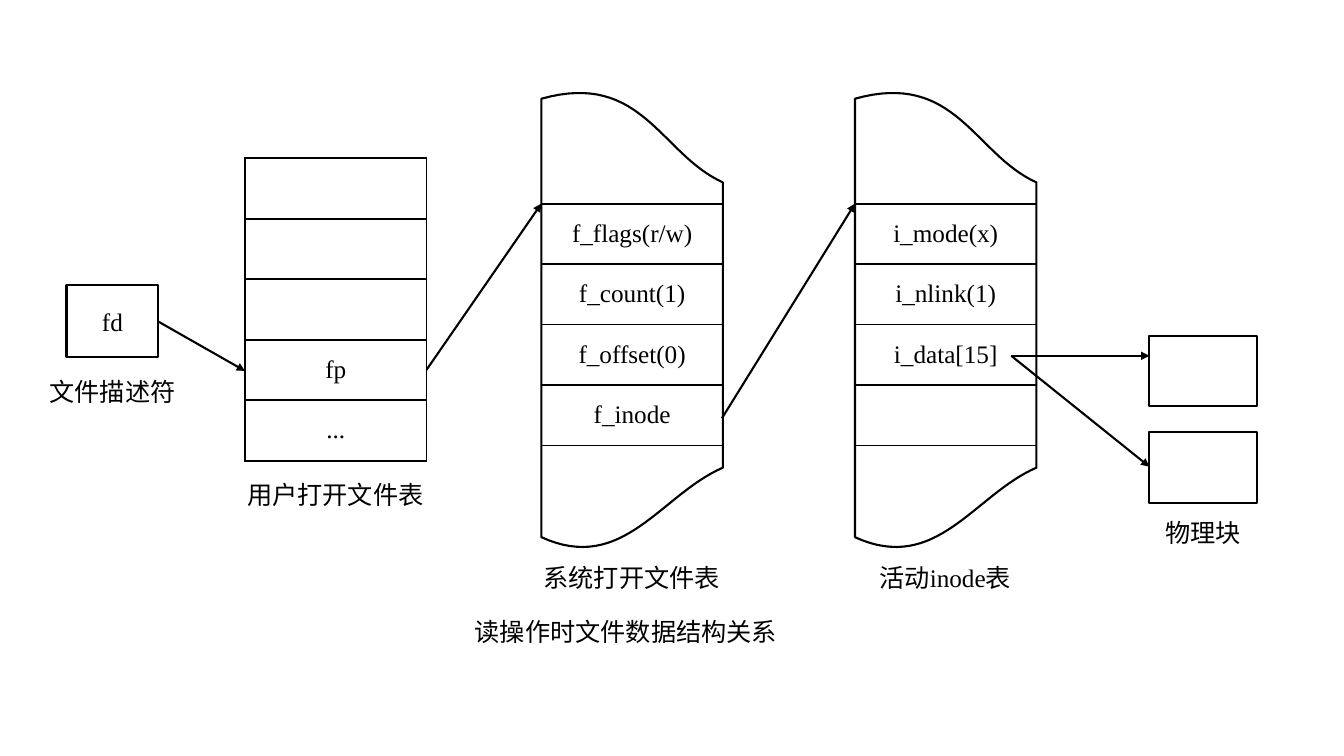
from dataclasses import dataclass

from lxml.etree import SubElement
from pptx import Presentation
from pptx.dml.color import RGBColor
from pptx.enum.shapes import MSO_CONNECTOR, MSO_SHAPE
from pptx.enum.text import MSO_ANCHOR, PP_ALIGN
from pptx.oxml import parse_xml
from pptx.oxml.ns import nsdecls, qn
from pptx.util import Inches, Pt


@dataclass(frozen=True)
class Theme:
    ink: str = "000000"
    size: float = 18
    line_width: float = 1.5
    code_font: str = "Times New Roman"
    label_font: str = "Open Sans"
    caption_font: str = "Noto Sans CJK SC"


THEME = Theme()
ROW_HEIGHT = 0.6
COLUMN_WIDTH = 1.8
LABEL_HEIGHT = 0.4
CURVE_STEPS = 32


def write_text(text_frame, text, font=THEME.label_font, align=PP_ALIGN.CENTER):
    """Write a string, or a list of (string, font) pairs, as one paragraph."""
    paragraph = text_frame.paragraphs[0]
    paragraph.alignment = align
    pieces = [(text, font)] if isinstance(text, str) else text
    for piece, piece_font in pieces:
        run = paragraph.add_run()
        run.text = piece
        run.font.size = Pt(THEME.size)
        run.font.color.rgb = RGBColor.from_string(THEME.ink)
        run.font.name = piece_font
        SubElement(run.font._element, qn("a:ea"), typeface=piece_font)


def bezier(start, first, second, end):
    """Points along a cubic curve, without its start."""
    points = []
    for step in range(1, CURVE_STEPS + 1):
        t = step / CURVE_STEPS
        weights = ((1 - t) ** 3, 3 * t * (1 - t) ** 2, 3 * t ** 2 * (1 - t), t ** 3)
        points.append(tuple(
            sum(weight * value for weight, value in zip(weights, values))
            for values in zip(start, first, second, end)))
    return points


class Diagram:
    def __init__(self, slide, theme):
        self.slide = slide
        self.theme = theme

    def outline(self, shape):
        shape.line.color.rgb = RGBColor.from_string(self.theme.ink)
        shape.line.width = Pt(self.theme.line_width)

    def hollow(self, shape):
        shape.shadow.inherit = False
        shape.fill.background()
        self.outline(shape)

    def box(self, left, top, width, height):
        shape = self.slide.shapes.add_shape(
            MSO_SHAPE.RECTANGLE, Inches(left), Inches(top), Inches(width), Inches(height))
        self.hollow(shape)
        return shape

    def label(self, text, left, top, width, **text_format):
        shape = self.slide.shapes.add_textbox(
            Inches(left), Inches(top), Inches(width), Inches(LABEL_HEIGHT))
        shape.text_frame.word_wrap = True
        write_text(shape.text_frame, text, **text_format)

    def torn_column(self, left):
        top_curve = bezier((0, 0.98), (1, 0.7), (1.18, 1.53), (1.8, 1.81))
        bottom_curve = bezier((1.8, 4.64), (1.18, 4.91), (0.81, 5.7), (0, 5.33))
        points = [(0, 0.98), *top_curve, (1.8, 4.64), *bottom_curve]
        corners = [(Inches(left + x), Inches(y)) for x, y in points]
        builder = self.slide.shapes.build_freeform(*corners[0])
        builder.add_line_segments(corners[1:], close=True)
        self.hollow(builder.convert_to_shape())

    def table(self, rows, left, top):
        table = self.slide.shapes.add_table(
            len(rows), 1, Inches(left), Inches(top),
            Inches(COLUMN_WIDTH), Inches(ROW_HEIGHT * len(rows))).table
        table.first_row = table.horz_banding = False
        for index, text in enumerate(rows):
            table.rows[index].height = Inches(ROW_HEIGHT)
            cell = table.cell(index, 0)
            cell.vertical_anchor = MSO_ANCHOR.MIDDLE
            cell.fill.background()
            self.cell_borders(cell)
            if text:
                write_text(cell.text_frame, text, font=self.theme.code_font)

    def cell_borders(self, cell):
        properties = cell._tc.get_or_add_tcPr()
        for position, side in enumerate(("lnL", "lnR", "lnT", "lnB")):
            properties.insert(position, parse_xml(
                f'<a:{side} {nsdecls("a")} w="{Pt(self.theme.line_width)}"><a:solidFill>'
                f'<a:srgbClr val="{self.theme.ink}"/></a:solidFill></a:{side}>'))

    def arrow(self, start, end):
        connector = self.slide.shapes.add_connector(
            MSO_CONNECTOR.STRAIGHT, *map(Inches, start), *map(Inches, end))
        self.outline(connector)
        SubElement(connector.line._get_or_add_ln(), qn("a:tailEnd"), type="triangle")
        SubElement(connector._element.spPr, qn("a:effectLst"))


presentation = Presentation()
presentation.slide_width = Inches(13.33)
presentation.slide_height = Inches(7.5)
slide = presentation.slides.add_slide(presentation.slide_layouts[6])
diagram = Diagram(slide, THEME)

# System open file table and active inode table
inode_label = [("活动", THEME.label_font), ("inode", THEME.code_font), ("表", THEME.label_font)]
kernel_tables = [
    (5.37, ["f_flags(r/w)", "f_count(1)", "f_offset(0)", "f_inode"], "系统打开文件表"),
    (8.48, ["i_mode(x)", "i_nlink(1)", "i_data[15]", ""], inode_label),
]
for left, fields, name in kernel_tables:
    diagram.torn_column(left)
    diagram.table(fields, left, 2.02)
    diagram.label(name, left - 0.24, 5.53, 2.27)

# File descriptor
descriptor = diagram.box(0.66, 2.83, 0.91, 0.71)
write_text(descriptor.text_frame, "fd", font=THEME.code_font)
diagram.label("文件描述符", 0.38, 3.68, 1.47)

# User open file table
diagram.table(["", "", "", "fp", "..."], 2.43, 1.57)
diagram.label("用户打开文件表", 2.19, 4.71, 2.27)

# Physical blocks
for top in (3.33, 4.29):
    diagram.box(11.4, top, 1.07, 0.7)
diagram.label("物理块", 11.2, 5.08, 1.47)

# Pointers from each structure to the next
pointers = [
    ((1.57, 3.19), (2.43, 3.68)),
    ((4.23, 3.67), (5.37, 2.02)),
    ((7.16, 4.15), (8.48, 2.02)),
    ((10.03, 3.53), (11.4, 3.53)),
    ((10.03, 3.53), (11.4, 4.63)),
]
for start, end in pointers:
    diagram.arrow(start, end)

# Caption
diagram.label("读操作时文件数据结构关系", 4.61, 6.07, 3.31,
              font=THEME.caption_font, align=PP_ALIGN.LEFT)

presentation.save("out.pptx")
